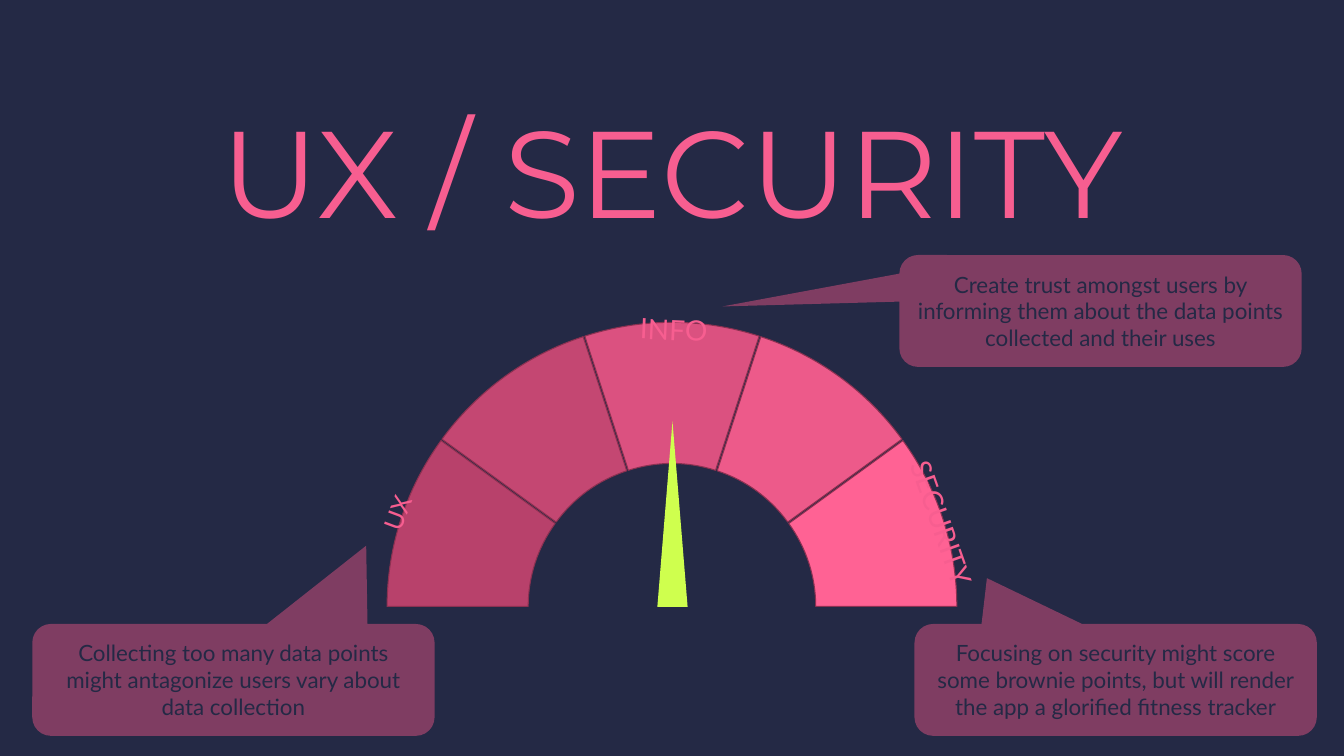
from dataclasses import dataclass

from lxml.etree import SubElement
from pptx import Presentation
from pptx.chart.data import CategoryChartData
from pptx.dml.color import RGBColor
from pptx.enum.chart import XL_CHART_TYPE as ChartType
from pptx.enum.shapes import MSO_SHAPE as Preset
from pptx.enum.text import MSO_ANCHOR as Anchor, MSO_AUTO_SIZE as AutoSize, PP_ALIGN as Align
from pptx.oxml.ns import qn
from pptx.util import Inches, Pt

COLORS = {
    "night": "242945",
    "pink": "F75E90",
    "callout": "DB5180",
    "needle": "CFFF4E",
    "seam": "8B3151",
    "chart_text": "132541",
}
SEGMENTS = ["B8416B", "C44772", "DB5180", "ED5A8A", "FF6294"]
SEGMENT_VALUE = 10
CALLOUT_SIZE = (3.99, 1.11)


@dataclass
class GaugeLabel:
    words: str
    box: tuple[float, float, float, float]
    rotation: float
    size: int


@dataclass
class Callout:
    words: str
    left: float
    top: float
    tip: tuple[float, float]


LABELS = [
    GaugeLabel("UX", (3.6, 4.69, 1.25, 1.01), 290.4, 18),
    GaugeLabel("SECURITY", (7.95, 4.78, 2.24, 1.01), 70.5, 20),
    GaugeLabel("INFO", (5.55, 3.05, 2.24, 1.01), 2.5, 20),
]
CALLOUTS = [
    Callout("Create trust amongst users by informing them about the data points "
            "collected and their uses", 8.92, 2.53, (-0.94, -0.04)),
    Callout("Focusing on security might score some brownie points, but will render "
            "the app a glorified fitness tracker", 9.07, 6.19, (-0.32, -0.91)),
    Callout("Collecting too many data points might antagonize users vary about data "
            "collection", 0.32, 6.19, (0.33, -1.2)),
]


def rgb(name: str) -> RGBColor:
    return RGBColor.from_string(COLORS[name])


def inches(*lengths: float) -> list:
    return [Inches(length) for length in lengths]


def write(shape, words: str, size: int, color: str, font: str = "Lato",
          anchor=Anchor.TOP, wrap: bool = True) -> None:
    frame = shape.text_frame
    frame.text = words
    settings = {"auto_size": AutoSize.NONE, "word_wrap": wrap, "vertical_anchor": anchor}
    for attribute, value in settings.items():
        setattr(frame, attribute, value)
    paragraph = frame.paragraphs[0]
    paragraph.alignment = Align.CENTER
    paragraph.line_spacing = 1.0
    run_font = paragraph.runs[0].font
    for attribute, value in {"name": font, "size": Pt(size)}.items():
        setattr(run_font, attribute, value)
    run_font.color.rgb = rgb(color)


def add_solid(slide, preset, box: tuple, color: str):
    solid = slide.shapes.add_shape(preset, *inches(*box))
    solid.shadow.inherit = False
    solid.fill.solid()
    solid.fill.fore_color.rgb = rgb(color)
    solid.line.fill.background()
    return solid


def add_title(slide) -> None:
    title = slide.shapes.title
    title.left, title.top, title.width, title.height = inches(1.42, 0.9, 10.49, 1.58)
    write(title, "UX / SECURITY", 88, "pink", "Montserrat")


def add_gauge(slide) -> None:
    values = [SEGMENT_VALUE] * len(SEGMENTS)
    values.append(sum(values))
    data = CategoryChartData()
    data.categories = [str(number + 1) for number in range(len(values))]
    data.add_series("Series 1", values)
    gauge = slide.shapes.add_chart(
        ChartType.DOUGHNUT, *inches(2.22, 3.06, 8.89, 5.93), data).chart
    gauge.has_legend = False
    gauge.has_title = False
    gauge.font.name = "Lato"
    gauge.font.size = Pt(10)
    gauge.font.color.rgb = rgb("chart_text")
    ring = gauge.plots[0]
    ring.vary_by_categories = True
    ring.has_data_labels = False
    ring_xml = gauge.element.find(".//" + qn("c:doughnutChart"))
    for tag, value in {"c:firstSliceAng": "270", "c:holeSize": "50"}.items():
        ring_xml.find(qn(tag)).set("val", value)

    series = ring.series[0]
    series.format.line.color.rgb = rgb("seam")
    series.format.line.width = Pt(0.75)
    series_xml = ring_xml.find(qn("c:ser"))
    explosion = SubElement(series_xml, qn("c:explosion"))
    explosion.set("val", "2")
    series_xml.find(qn("c:spPr")).addnext(explosion)
    for index, color in enumerate(SEGMENTS):
        segment = series.points[index].format
        segment.fill.solid()
        segment.fill.fore_color.rgb = RGBColor.from_string(color)
        segment.line.color.rgb = rgb("seam")
        segment.line.width = Pt(0.75)
    lower_half = series.points[len(SEGMENTS)].format
    lower_half.fill.background()
    lower_half.line.fill.background()


def add_label(slide, label: GaugeLabel) -> None:
    text = slide.shapes.add_textbox(*inches(*label.box))
    text.rotation = label.rotation
    write(text, label.words, label.size, "pink", wrap=False)


def add_callout(slide, callout: Callout) -> None:
    bubble = add_solid(slide, Preset.ROUNDED_RECTANGULAR_CALLOUT,
                       (callout.left, callout.top, *CALLOUT_SIZE), "callout")
    bubble.adjustments[0], bubble.adjustments[1] = callout.tip
    color = bubble.fill._xPr.find(".//" + qn("a:srgbClr"))
    SubElement(color, qn("a:alpha")).set("val", "50000")
    write(bubble, callout.words, 16, "night", anchor=Anchor.MIDDLE)


deck = Presentation()
deck.slide_width, deck.slide_height = inches(13.33, 7.5)
slide = deck.slides.add_slide(deck.slide_layouts[5])
slide.background.fill.solid()
slide.background.fill.fore_color.rgb = rgb("night")

add_title(slide)
add_gauge(slide)
add_solid(slide, Preset.ISOSCELES_TRIANGLE, (6.52, 4.18, 0.3, 1.84), "needle")
for label in LABELS:
    add_label(slide, label)
for callout in CALLOUTS:
    add_callout(slide, callout)

deck.save("out.pptx")
